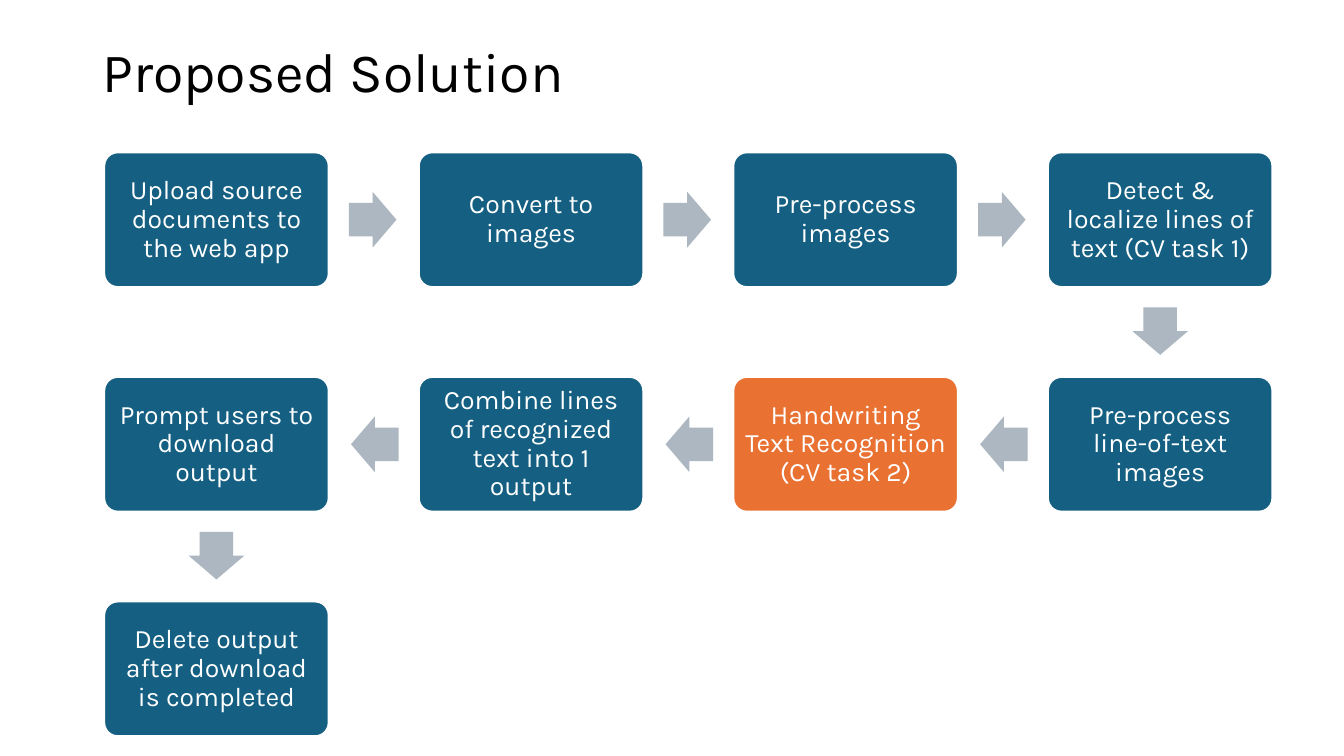
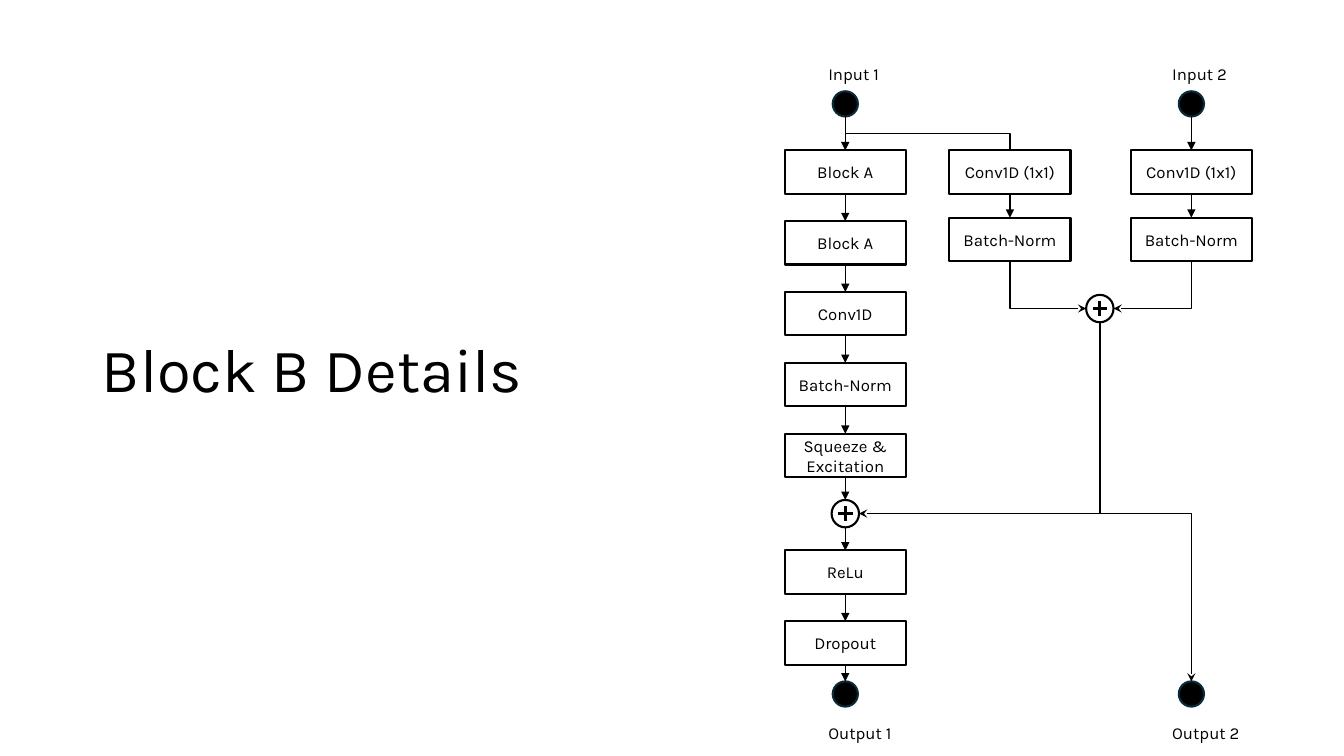
"""Build two slides: a process flow and a network block diagram."""
from lxml import etree
from pptx import Presentation
from pptx.dml.color import RGBColor
from pptx.enum.shapes import MSO_CONNECTOR as LINE, MSO_SHAPE as SHAPE
from pptx.enum.text import MSO_ANCHOR as ANCHOR, MSO_AUTO_SIZE as AUTO, PP_ALIGN as ALIGN
from pptx.oxml.ns import qn
from pptx.util import Pt

FONT = "Karla"
COLORS = {
    "black": "000000",
    "white": "FFFFFF",
    "step": "156082",
    "focus": "E97132",
    "arrow": "ACB7C1",
    "dot_edge": "092A39",
}
RGB = {name: RGBColor.from_string(value) for name, value in COLORS.items()}


def write(sp, text, size=12, color="black", align=ALIGN.CENTER,
          anchor=ANCHOR.MIDDLE, spacing=1.0, inset=None):
    tf = sp.text_frame
    tf.word_wrap = True
    tf.auto_size = AUTO.NONE
    tf.vertical_anchor = anchor
    if inset is not None:
        tf.margin_left = tf.margin_right = Pt(inset)
        tf.margin_top = tf.margin_bottom = Pt(inset)
    p = tf.paragraphs[0]
    p.alignment = align
    p.line_spacing = spacing
    r = p.add_run()
    r.text = text
    r.font.name = FONT
    r.font.size = Pt(size)
    r.font.color.rgb = RGB[color]


def connect(slide, x1, y1, x2, y2, head=None, bends=0, bend_at=0.5, width=1):
    if bends:
        mid_x, mid_y = (x1 + x2) / 2, (y1 + y2) / 2
        half_w = (y2 - y1) / 2 if x2 < x1 else (y1 - y2) / 2
        half_h = abs(x2 - x1) / 2
        x1, y1, x2, y2 = mid_x - half_w, mid_y - half_h, mid_x + half_w, mid_y + half_h
    kind = LINE.ELBOW if bends else LINE.STRAIGHT
    c = slide.shapes.add_connector(kind, Pt(x1), Pt(y1), Pt(x2), Pt(y2))
    c.line.color.rgb = RGB["black"]
    c.line.width = Pt(width)
    props = c._element.spPr
    if bends:
        rotation = 90 if half_w > 0 else 270
        props.find(qn("a:xfrm")).set("rot", str(rotation * 60000))
        geom = props.find(qn("a:prstGeom"))
        geom.set("prst", f"bentConnector{bends + 1}")
        if bends == 2:
            guide = etree.SubElement(geom.find(qn("a:avLst")), qn("a:gd"))
            guide.set("name", "adj1")
            guide.set("fmla", f"val {round(bend_at * 100000)}")
    if head:
        etree.SubElement(props.find(qn("a:ln")), qn("a:tailEnd")).set("type", head)
    etree.SubElement(props, qn("a:effectLst"))


prs = Presentation()
prs.slide_width, prs.slide_height = Pt(960), Pt(540)

titles = [
    ("Proposed Solution", 39.6, (66, 28.8, 815, 49)),
    ("Block B Details", 44, (65.5, 224, 334, 83.5)),
]
for text, size, (x, y, w, h) in titles:
    slide = prs.slides.add_slide(prs.slide_layouts[5])
    title = slide.shapes.title
    title.left, title.top, title.width, title.height = Pt(x), Pt(y), Pt(w), Pt(h)
    write(title, text, size=size, align=ALIGN.LEFT, spacing=0.9)
flow, block = prs.slides

COLS = 4
STEP_W, STEP_H = 160.4, 96.3
PITCH_X, PITCH_Y = 224.7, 160.4
FIRST_X, FIRST_Y = 74.4, 108.8
ARROW_W, ARROW_H, ARROW_GAP = 34, 39.8, 14.4
steps = [
    "Upload source documents to the web app",
    "Convert to images",
    "Pre-process images",
    "Detect & localize lines of text (CV task 1)",
    "Pre-process line-of-text images",
    "Handwriting Text Recognition (CV task 2)",
    "Combine lines of recognized text into 1 output",
    "Prompt users to download output",
    "Delete output after download is completed",
]
for i, text in enumerate(steps):
    row, col = divmod(i, COLS)
    backward = row % 2 == 1
    if backward:
        col = COLS - 1 - col
    x, y = FIRST_X + col * PITCH_X, FIRST_Y + row * PITCH_Y
    sp = flow.shapes.add_shape(SHAPE.ROUNDED_RECTANGLE, Pt(x), Pt(y), Pt(STEP_W), Pt(STEP_H))
    sp.adjustments[0] = 0.1
    sp.shadow.inherit = False
    sp.fill.solid()
    sp.fill.fore_color.rgb = RGB["focus" if "Handwriting" in text else "step"]
    sp.line.color.rgb = RGB["white"]
    sp.line.width = Pt(1.5)
    write(sp, text, size=19, color="white", spacing=0.9, inset=5.7)
    if i == len(steps) - 1:
        continue
    mid_x, mid_y = x + STEP_W / 2, y + STEP_H / 2
    reach = ARROW_GAP + ARROW_W / 2
    if i % COLS == COLS - 1:
        rotation, mid_y = 90, mid_y + STEP_H / 2 + reach
    elif backward:
        rotation, mid_x = 180, mid_x - STEP_W / 2 - reach
    else:
        rotation, mid_x = 0, mid_x + STEP_W / 2 + reach
    arrow = flow.shapes.add_shape(SHAPE.RIGHT_ARROW, Pt(mid_x - ARROW_W / 2),
                                  Pt(mid_y - ARROW_H / 2), Pt(ARROW_W), Pt(ARROW_H))
    arrow.adjustments[0], arrow.adjustments[1] = 0.6, 0.5
    arrow.rotation = rotation
    arrow.shadow.inherit = False
    arrow.fill.solid()
    arrow.fill.fore_color.rgb = RGB["arrow"]
    arrow.line.fill.background()

MAIN_X, BRANCH_X, MERGE_X, SIDE_X = 603.8, 721.4, 785.6, 851
DOT_TOP, OUT_TOP = 65.2, 486.7
BOX_TOP, BOX_PITCH, SIDE_TOP, RELU_TOP = 107.4, 50.6, 155.5, 393.2
MERGE_Y, SUM_Y = 220.4, 366.9
SIZES = {"box": (86.5, 31), "plus": (19.6, 19.6), "dot": (18, 18)}
RADIUS = SIZES["plus"][0] / 2
ARM = 5.2

layers = ["Block A", "Block A", "Conv1D", "Batch-Norm", "Squeeze & Excitation"]
side_boxes = [("box", BOX_TOP, "Conv1D (1x1)"), ("box", SIDE_TOP, "Batch-Norm")]
stacks = [
    (MAIN_X, [("dot", DOT_TOP, "")]
     + [("box", BOX_TOP + i * BOX_PITCH, text) for i, text in enumerate(layers)]
     + [("plus", SUM_Y - RADIUS, ""), ("box", RELU_TOP, "ReLu"),
        ("box", RELU_TOP + BOX_PITCH, "Dropout"), ("dot", OUT_TOP, "")]),
    (BRANCH_X, side_boxes),
    (SIDE_X, [("dot", DOT_TOP, "")] + side_boxes),
    (MERGE_X, [("plus", MERGE_Y - RADIUS, "")]),
    (SIDE_X, [("dot", OUT_TOP, "")]),
]
for x, nodes in stacks:
    bottom = None
    for kind, top, text in nodes:
        w, h = SIZES[kind]
        shape = SHAPE.RECTANGLE if kind == "box" else SHAPE.OVAL
        sp = block.shapes.add_shape(shape, Pt(x - w / 2), Pt(top), Pt(w), Pt(h))
        sp.shadow.inherit = False
        sp.line.width = Pt(1.5)
        sp.line.color.rgb = RGB["dot_edge" if kind == "dot" else "black"]
        if kind == "dot":
            sp.fill.solid()
            sp.fill.fore_color.rgb = RGB["black"]
        else:
            sp.fill.background()
        if text:
            write(sp, text)
        if kind == "plus":
            mid_y = top + h / 2
            connect(block, x, mid_y - ARM, x, mid_y + ARM, width=2.25)
            connect(block, x - ARM, mid_y, x + ARM, mid_y, width=2.25)
        if bottom is not None:
            connect(block, x, bottom, x, top, head="triangle")
        bottom = top + h

dot_bottom = DOT_TOP + SIZES["dot"][1]
side_bottom = SIDE_TOP + SIZES["box"][1]
merge_bottom = MERGE_Y + RADIUS
turn = (SUM_Y - merge_bottom) / (OUT_TOP - merge_bottom)
connect(block, MAIN_X, dot_bottom, BRANCH_X, BOX_TOP, bends=2)
connect(block, BRANCH_X, side_bottom, MERGE_X - RADIUS, MERGE_Y, head="stealth", bends=1)
connect(block, SIDE_X, side_bottom, MERGE_X + RADIUS, MERGE_Y, head="stealth", bends=1)
connect(block, MERGE_X, merge_bottom, MAIN_X + RADIUS, SUM_Y, head="stealth", bends=1)
connect(block, MERGE_X, merge_bottom, SIDE_X, OUT_TOP, head="stealth", bends=2, bend_at=turn)

for name, y in [("Input", 41.8), ("Output", 512.6)]:
    for number, x in enumerate([584.6, 830.2], start=1):
        label = block.shapes.add_textbox(Pt(x), Pt(y), Pt(108), Pt(21.8))
        write(label, f"{name} {number}", align=ALIGN.LEFT, anchor=ANCHOR.TOP)

prs.save("out.pptx")
